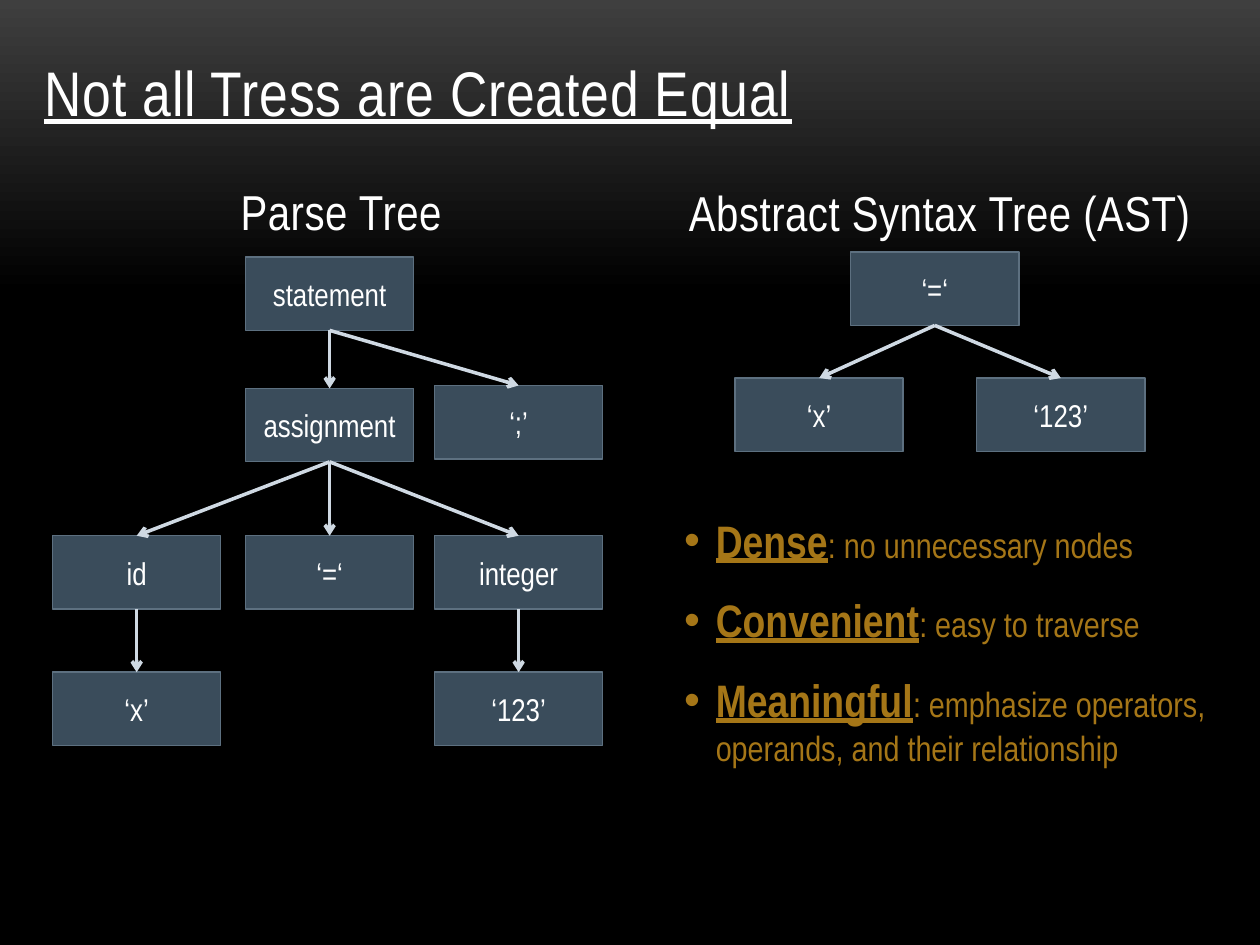
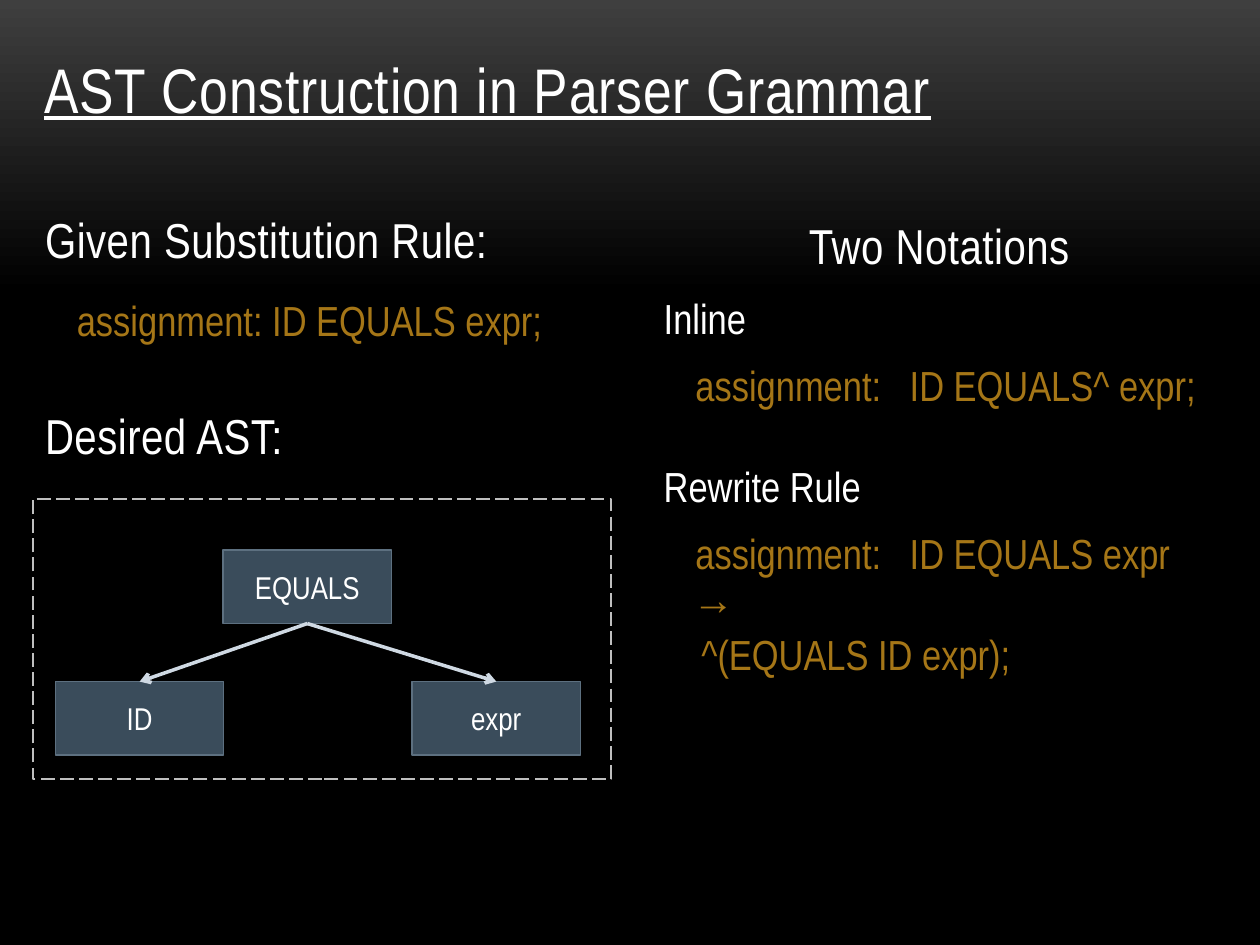
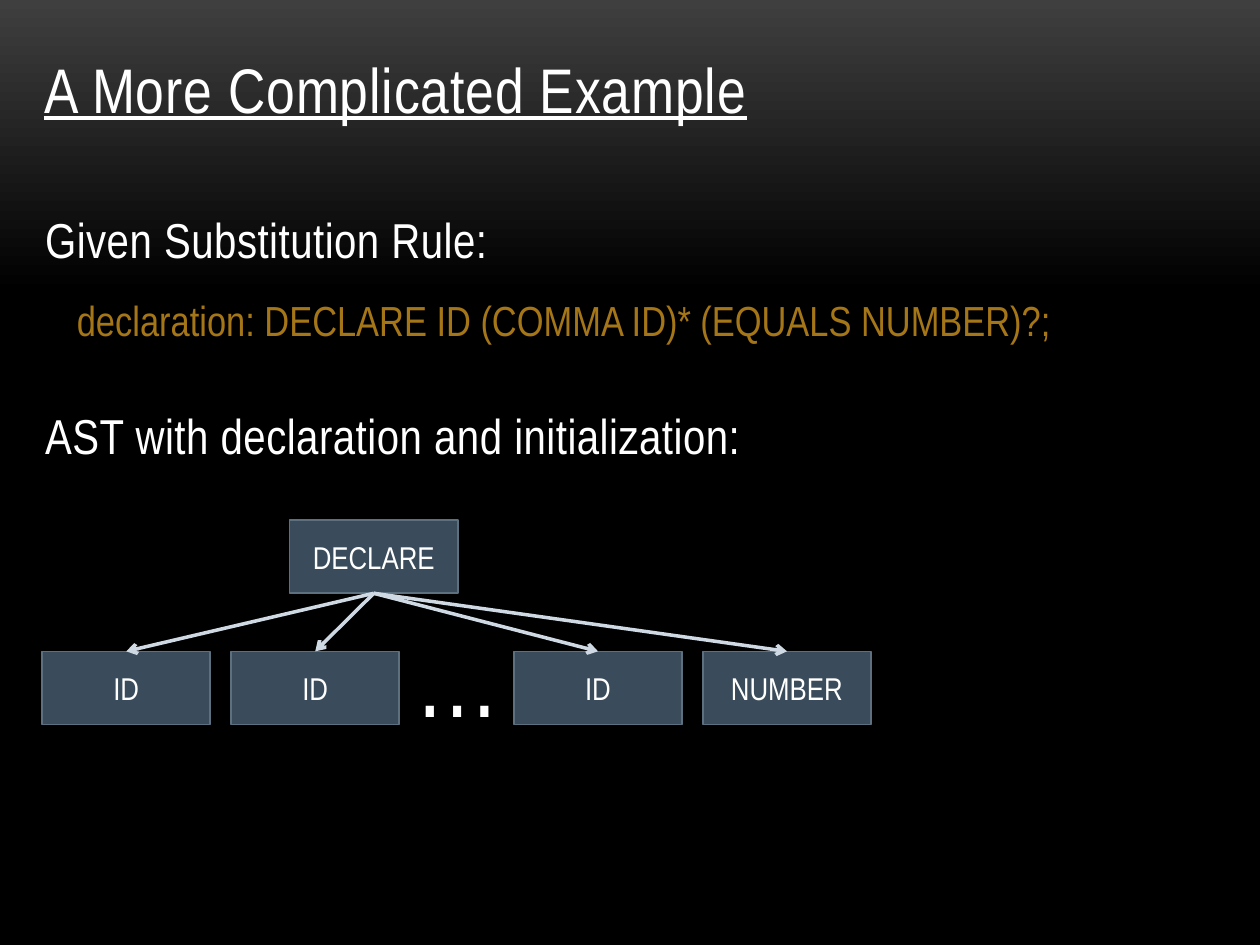
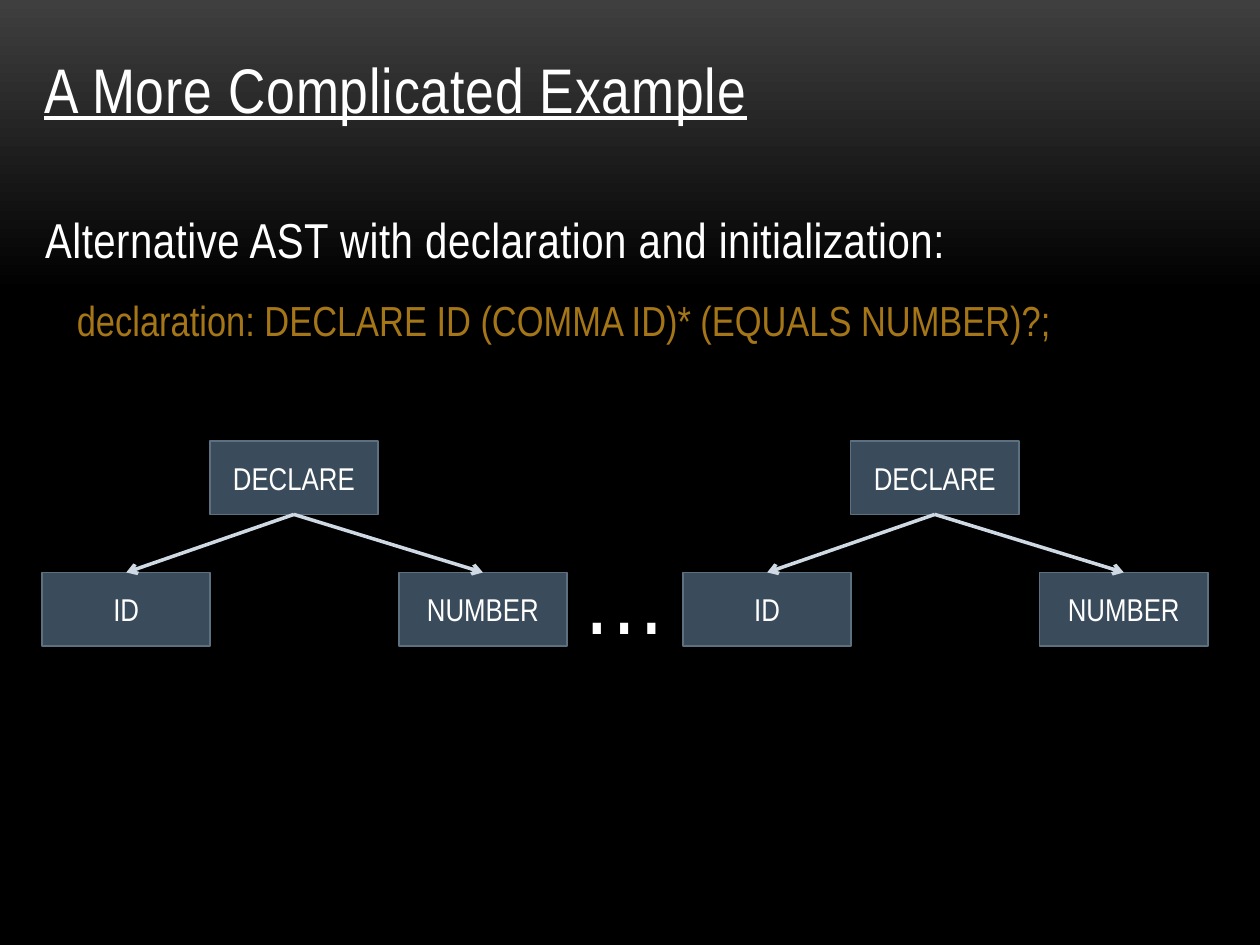
from copy import deepcopy
from dataclasses import dataclass

from lxml.etree import SubElement
from pptx import Presentation
from pptx.dml.color import RGBColor
from pptx.enum.dml import MSO_LINE
from pptx.enum.shapes import MSO_CONNECTOR, MSO_SHAPE
from pptx.enum.text import MSO_ANCHOR, MSO_AUTO_SIZE, PP_ALIGN
from pptx.oxml.ns import qn
from pptx.util import Cm, Pt

LEFT, CENTER = PP_ALIGN.LEFT, PP_ALIGN.CENTER
TOP, MIDDLE, BOTTOM = MSO_ANCHOR.TOP, MSO_ANCHOR.MIDDLE, MSO_ANCHOR.BOTTOM
RECT, STRAIGHT = MSO_SHAPE.RECTANGLE, MSO_CONNECTOR.STRAIGHT
DASH, FIXED = MSO_LINE.LONG_DASH, MSO_AUTO_SIZE.NONE

FONT = "Arial Narrow"
WHITE, GOLD = "FFFFFF", "A57617"
SLATE, EDGE, ARROW, FRAME = "3A4C5B", "5D7080", "CFD9E3", "BFBFBF"
GLOW, BLACK = "3F3F3F", "000000"

NODE_W, NODE_H = 3.39, 1.48
DROP = 2.65
INDENT = 0.64
BOTTOM_SITE, TOP_SITE = 2, 0


@dataclass
class Area:
    x: float
    y: float
    w: float
    h: float

    def cm(self) -> tuple:
        return Cm(self.x), Cm(self.y), Cm(self.w), Cm(self.h)


@dataclass
class Line:
    text: str
    size: float = 24
    color: str = WHITE
    before: float = 0
    left: float = 0
    hang: float = 0
    track: float = 0
    align: PP_ALIGN = LEFT
    lead: str = ""


@dataclass
class Node:
    text: str
    x: float
    y: float
    kids: tuple = ()


def rgb(code: str) -> RGBColor:
    return RGBColor.from_string(code)


def style(run, size: float, color: str, track: float = 0, strong: bool = False) -> None:
    font = run.font
    font.name, font.size, font.color.rgb = FONT, Pt(size), rgb(color)
    if strong:
        font.bold = font.underline = True
    if track:
        run._r.get_or_add_rPr().set("spc", str(round(track * 100)))


def indent(para, left: float, hang: float, bullet: bool) -> None:
    props = para._p.get_or_add_pPr()
    props.set("marL", str(Cm(left + hang)))
    props.set("indent", str(-Cm(hang)))
    if bullet:
        SubElement(props, qn("a:buFont"), typeface="Arial")
        SubElement(props, qn("a:buChar"), char="•")


def write(slide, area: Area, lines: list[Line], anchor=TOP, wrap: bool = True) -> None:
    frame = slide.shapes.add_textbox(*area.cm()).text_frame
    frame.word_wrap, frame.vertical_anchor = wrap, anchor
    frame.text = "\n".join(line.lead or line.text for line in lines)
    for para, line in zip(frame.paragraphs, lines):
        para.alignment, para.space_before = line.align, Pt(line.before)
        indent(para, line.left, line.hang, bool(line.lead))
        if line.lead:
            style(para.runs[0], 26, line.color, strong=True)
            para.add_run().text = line.text
        style(para.runs[-1], line.size, line.color, line.track)


def head(text: str, before: float = 0, align: PP_ALIGN = LEFT) -> Line:
    return Line(text, 28, before=before, track=0.3, align=align)


def rule(text: str, before: float = 0, left: float = INDENT, hang: float = 0) -> Line:
    return Line(text, 24, GOLD, before, left, hang)


def point(lead: str, text: str, before: float = 14.4) -> Line:
    return Line(text, 20, GOLD, before, hang=INDENT, lead=lead)


def label(slide, area: Area, text: str) -> None:
    write(slide, area, [head(text, align=CENTER)], BOTTOM)


def dots(slide, x: float, y: float) -> None:
    write(slide, Area(x, y, 2.26, 2.82), [Line("…", 60)], wrap=False)


def link(slide, start, end) -> None:
    line = slide.shapes.add_connector(STRAIGHT, 0, 0, 0, 0)
    line.begin_connect(start, BOTTOM_SITE)
    line.end_connect(end, TOP_SITE)
    line.line.color.rgb, line.line.width = rgb(ARROW), Pt(2)
    props = line._element.spPr
    SubElement(props.find(qn("a:ln")), qn("a:tailEnd"), type="arrow")
    SubElement(props, qn("a:effectLst"))


def block(slide, area: Area, edge: str, width: float):
    shape = slide.shapes.add_shape(RECT, *area.cm())
    shape.shadow.inherit = False
    shape.line.color.rgb, shape.line.width = rgb(edge), Pt(width)
    return shape


def tree(slide, node: Node):
    shape = block(slide, Area(node.x, node.y, NODE_W, NODE_H), EDGE, 0.85)
    shape.fill.solid()
    shape.fill.fore_color.rgb = rgb(SLATE)
    frame = shape.text_frame
    frame.margin_left = frame.margin_right = 0
    frame.vertical_anchor, frame.text = MIDDLE, node.text
    frame.paragraphs[0].alignment = CENTER
    style(frame.paragraphs[0].runs[0], 18, WHITE)
    for kid in node.kids:
        link(slide, shape, tree(slide, kid))
    return shape


def pair(x: float, y: float, root: str, left: str, right: str) -> Node:
    low = y + DROP
    return Node(root, x, y, (Node(left, x - 3.38, low), Node(right, x + 3.81, low)))


def page(deck, text: str, area: Area = Area(0.64, 0.64, 22.66, 2.03)):
    slide = deck.slides.add_slide(deck.slide_layouts[5])
    title = slide.shapes.title
    title.left, title.top, title.width, title.height = area.cm()
    frame = title.text_frame
    frame.text, frame.word_wrap = text, True
    frame.auto_size, frame.vertical_anchor = FIXED, BOTTOM
    para = frame.paragraphs[0]
    para.alignment = LEFT
    style(para.runs[0], 36, WHITE, 0.5)
    para.runs[0].font.underline = True
    return slide


def shade(master) -> None:
    fill = master.background.fill
    fill.gradient()
    fill.gradient_angle = 270
    for stop, color in zip(fill.gradient_stops, (GLOW, BLACK)):
        stop.color.rgb = rgb(color)
    stops = next(master.element.iter(qn("a:gsLst")))
    stops.append(deepcopy(stops[1]))
    for stop, place in zip(stops, (0, 31, 100)):
        stop.set("pos", str(place * 1000))


def equal(deck) -> None:
    slide = page(deck, "Not all Tress are Created Equal", Area(0.64, 0.2, 23.52, 2.54))
    label(slide, Area(1.7, 3.38, 10.36, 1.6), "Parse Tree")
    label(slide, Area(12.7, 2.97, 12.5, 2.03), "Abstract Syntax Tree (AST)")
    near, mid, far = 1.06, 4.95, 8.76
    third, last = 10.8, 13.55
    tree(slide, Node("statement", mid, 5.18, (
        Node("assignment", mid, 7.83, (
            Node("id", near, third, (Node("‘x’", near, last),)),
            Node("‘=‘", mid, third),
            Node("integer", far, third, (Node("‘123’", far, last),)),
        )),
        Node("‘;’", far, 7.77),
    )))
    tree(slide, Node("‘=‘", 17.15, 5.08, (
        Node("‘x’", 14.82, 7.62),
        Node("‘123’", 19.69, 7.62),
    )))
    write(slide, Area(13.54, 10.21, 11.43, 5.46), [
        point("Dense", ": no unnecessary nodes", 0),
        point("Convenient", ": easy to traverse"),
        point("Meaningful", ": emphasize operators, operands, and their relationship"),
    ])


def given(slide, width: float, top: str, text: str, end: str = "") -> None:
    lines = [head(top), rule(text, 15.4)]
    if end:
        lines.append(head(end, 34.4))
    write(slide, Area(0.66, 4.09, width, 5.49 if end else 3.02), lines)


def grammar(deck) -> None:
    slide = page(deck, "AST Construction in Parser Grammar")
    given(slide, 11.66, "Given Substitution Rule:", "assignment: ID EQUALS expr;", "Desired AST:")
    label(slide, Area(12.9, 4.06, 12.07, 1.6), "Two Notations")
    write(slide, Area(13.13, 5.77, 12.07, 8.13), [
        Line("Inline"),
        rule("assignment:\tID EQUALS^ expr;", 9.6, hang=4.32),
        Line("Rewrite Rule", before=28.8),
        rule("assignment:\tID EQUALS expr", 9.6, hang=4.32),
        rule("→", left=0.58),
        rule("^(EQUALS ID expr);", left=0.76),
    ])
    frame = block(slide, Area(0.66, 10.06, 11.66, 5.64), FRAME, 1)
    frame.fill.background()
    frame.line.dash_style = DASH
    tree(slide, pair(4.5, 11.09, "EQUALS", "ID", "expr"))


DECLARE = "declaration: DECLARE ID (COMMA ID)* (EQUALS NUMBER)?;"
COMPLEX = "A More Complicated Example"


def single(deck) -> None:
    slide = page(deck, COMPLEX)
    dots(slide, 8.1, 12.22)
    given(slide, 24.1, "Given Substitution Rule:", DECLARE, "AST with declaration and initialization:")
    leaves = (("ID", 0.85), ("ID", 4.66), ("ID", 10.36), ("NUMBER", 14.17))
    top = 10.48
    tree(slide, Node("DECLARE", 5.84, top, tuple(Node(t, x, top + DROP) for t, x in leaves)))


def double(deck) -> None:
    slide = page(deck, COMPLEX)
    dots(slide, 11.48, 10.54)
    given(slide, 24.1, "Alternative AST with declaration and initialization:", DECLARE)
    for x in (4.23, 17.15):
        tree(slide, pair(x, 8.89, "DECLARE", "ID", "NUMBER"))


def main() -> None:
    deck = Presentation()
    deck.slide_width, deck.slide_height = Cm(25.4), Cm(19.05)
    shade(deck.slide_master)
    for build in (equal, grammar, single, double):
        build(deck)
    deck.save("out.pptx")


main()
